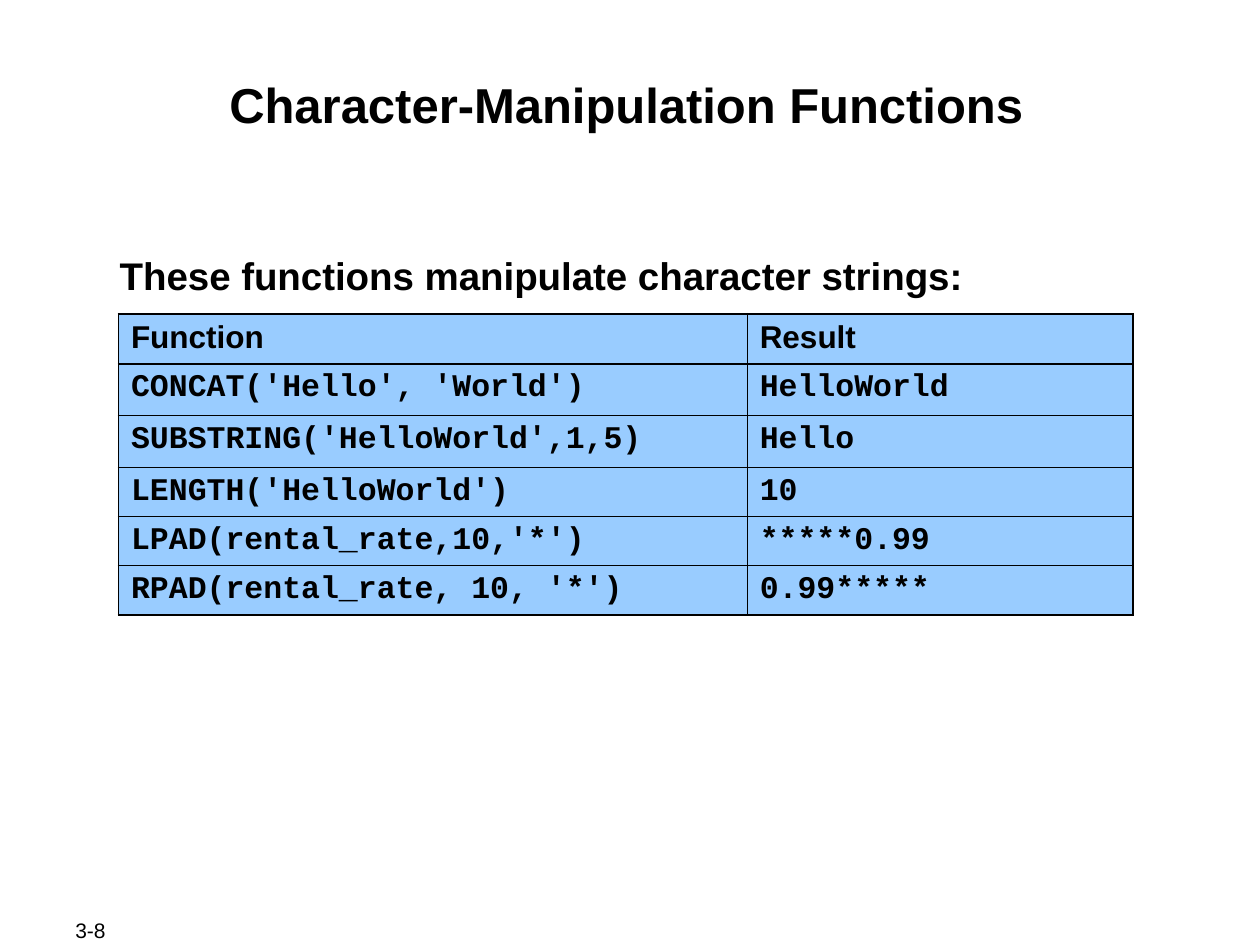
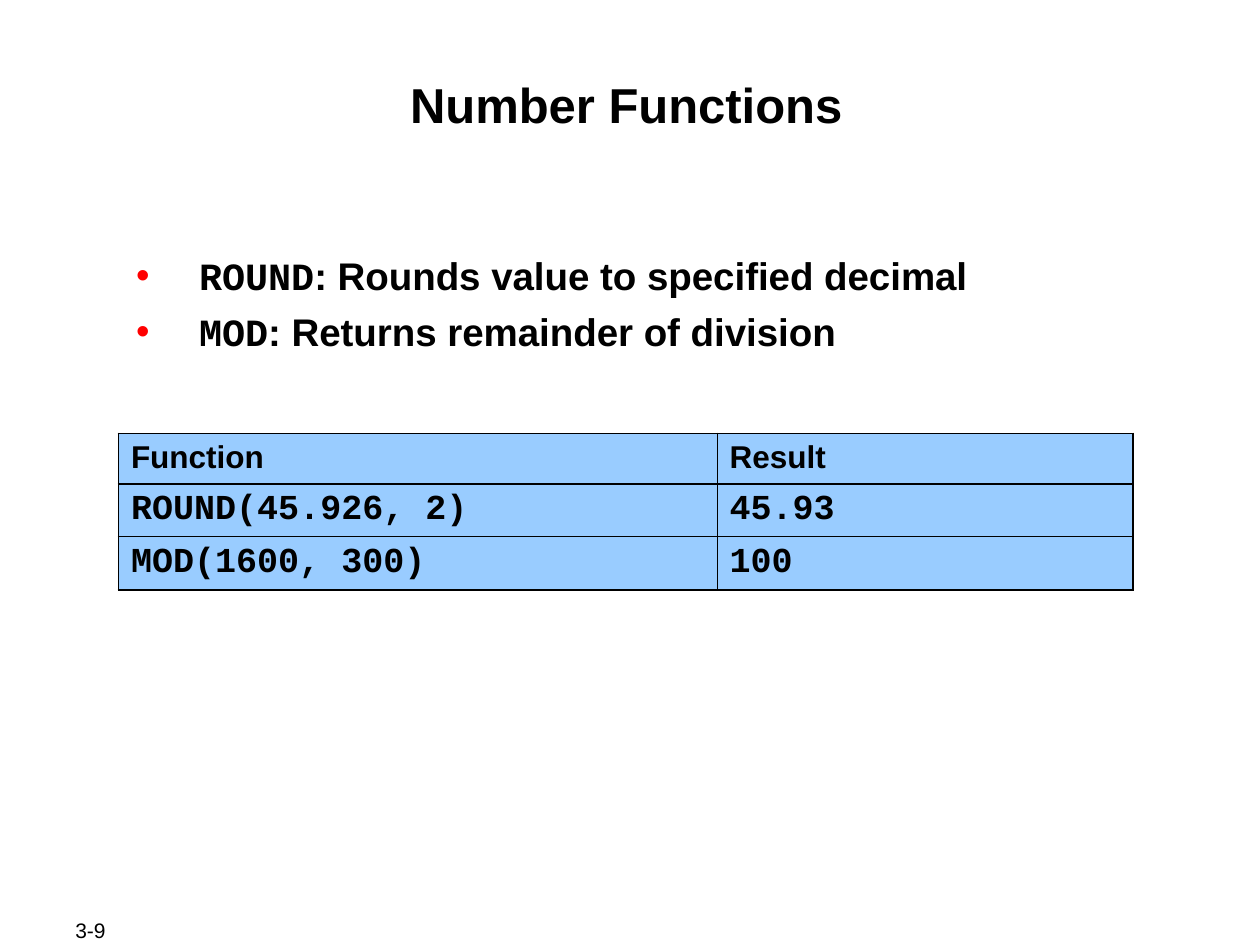
from lxml.etree import SubElement
from pptx import Presentation
from pptx.dml.color import RGBColor
from pptx.enum.text import MSO_ANCHOR, PP_ALIGN
from pptx.oxml.ns import qn
from pptx.util import Inches, Pt

BLACK = RGBColor(0x00, 0x00, 0x00)
RED = RGBColor(0xFF, 0x00, 0x00)
CELL_BLUE = RGBColor(0x99, 0xCC, 0xFF)
SANS = "Arial"
MONO = "Courier New"
THICK = Pt(1.08)
THIN = Pt(0.45)

LESSONS = [
    {
        "title": "Character-Manipulation Functions",
        "number": "3-8",
        "intro": [[("These functions manipulate character strings:", SANS)]],
        "bulleted": False,
        "intro_height": 2.03,
        "table_top": 2.49,
        "columns": [4.99, 3.06],
        "row_heights": [0.4, 0.41, 0.41, 0.39, 0.39, 0.39],
        "code_size": 18,
        "code_space": 7.9,
        "rows": [
            ("Function", "Result"),
            ("CONCAT('Hello', 'World')", "HelloWorld"),
            ("SUBSTRING('HelloWorld',1,5)", "Hello"),
            ("LENGTH('HelloWorld')", "10"),
            ("LPAD(rental_rate,10,'*')", "*****0.99"),
            ("RPAD(rental_rate, 10, '*')", "0.99*****"),
        ],
    },
    {
        "title": "Number Functions",
        "number": "3-9",
        "intro": [
            [("ROUND", MONO), (": Rounds value to specified decimal", SANS)],
            [("MOD", MONO), (": Returns remainder of division", SANS)],
        ],
        "bulleted": True,
        "intro_height": 0.84,
        "table_top": 3.44,
        "columns": [4.75, 3.3],
        "row_heights": [0.4, 0.42, 0.42],
        "code_size": 20,
        "code_space": 8.8,
        "rows": [
            ("Function", "Result"),
            ("ROUND(45.926, 2)", "45.93"),
            ("MOD(1600, 300)", "100"),
        ],
    },
]


def add_text_frame(slide, left, top, width, height, inset_x, inset_y):
    frame = slide.shapes.add_textbox(
        Inches(left), Inches(top), Inches(width), Inches(height)
    ).text_frame
    frame.word_wrap = True
    frame.margin_left = frame.margin_right = Inches(inset_x)
    frame.margin_top = frame.margin_bottom = Inches(inset_y)
    return frame


def style_paragraph(paragraph, size, bold=True, space_before=0, name=None):
    paragraph.space_before = Pt(space_before)
    paragraph.font.size = Pt(size)
    paragraph.font.bold = bold
    paragraph.font.color.rgb = BLACK
    if name:
        paragraph.font.name = name


prs = Presentation()
prs.slide_width = Inches(10)
prs.slide_height = Inches(7.5)

for lesson in LESSONS:
    slide = prs.slides.add_slide(prs.slide_layouts[6])

    footer = add_text_frame(slide, 0.5, 7.28, 1.06, 0.2, 0.1, 0.05)
    footer.vertical_anchor = MSO_ANCHOR.MIDDLE
    footer.text = lesson["number"]
    style_paragraph(footer.paragraphs[0], 12, bold=False, name=SANS)

    title = add_text_frame(slide, 0.97, 0.58, 8, 0.96, 0.01, 0.01)
    title.text = lesson["title"]
    title.paragraphs[0].alignment = PP_ALIGN.CENTER
    style_paragraph(title.paragraphs[0], 28, space_before=7, name=SANS)

    intro = add_text_frame(slide, 0.94, 1.99, 8.06, lesson["intro_height"], 0.01, 0.01)
    for index, pieces in enumerate(lesson["intro"]):
        paragraph = intro.add_paragraph() if index else intro.paragraphs[0]
        style_paragraph(paragraph, 22, space_before=5.5)
        for text, font_name in pieces:
            run = paragraph.add_run()
            run.text = text
            run.font.name = font_name
        if lesson["bulleted"]:
            properties = paragraph._p.get_or_add_pPr()
            properties.set("marL", str(Inches(0.63)))
            properties.set("indent", str(Inches(-0.5)))
            bullet_color = SubElement(properties, qn("a:buClr"))
            SubElement(bullet_color, qn("a:srgbClr"), val=str(RED))
            SubElement(properties, qn("a:buFont"), typeface=SANS)
            SubElement(properties, qn("a:buChar"), char="•")
            properties.append(properties.find(qn("a:defRPr")))

    rows = lesson["rows"]
    table = slide.shapes.add_table(
        len(rows), 2, Inches(0.94), Inches(lesson["table_top"]),
        Inches(sum(lesson["columns"])), Inches(sum(lesson["row_heights"])),
    ).table
    table.first_row = False
    table.horz_banding = False
    for column, width in zip(table.columns, lesson["columns"]):
        column.width = Inches(width)
    for row, height in zip(table.rows, lesson["row_heights"]):
        row.height = Inches(height)

    last_row = len(rows) - 1
    for row_index, values in enumerate(rows):
        for column_index, value in enumerate(values):
            cell = table.cell(row_index, column_index)
            cell.margin_left = cell.margin_right = Inches(0.1)
            cell.margin_top = cell.margin_bottom = Inches(0.05)
            cell.text = value
            paragraph = cell.text_frame.paragraphs[0]
            if row_index == 0:
                style_paragraph(paragraph, 18, space_before=4.5, name=SANS)
            else:
                paragraph.line_spacing = 0.95
                style_paragraph(
                    paragraph, lesson["code_size"],
                    space_before=lesson["code_space"], name=MONO,
                )

            thick_sides = {
                "a:lnL": column_index == 0,
                "a:lnR": column_index == 1,
                "a:lnT": row_index <= 1,
                "a:lnB": row_index in (0, last_row),
            }
            cell_properties = cell._tc.get_or_add_tcPr()
            for side, is_thick in thick_sides.items():
                border = SubElement(
                    cell_properties, qn(side), w=str(THICK if is_thick else THIN)
                )
                border_fill = SubElement(border, qn("a:solidFill"))
                SubElement(border_fill, qn("a:srgbClr"), val=str(BLACK))
            cell.fill.solid()
            cell.fill.fore_color.rgb = CELL_BLUE

prs.save("out.pptx")
